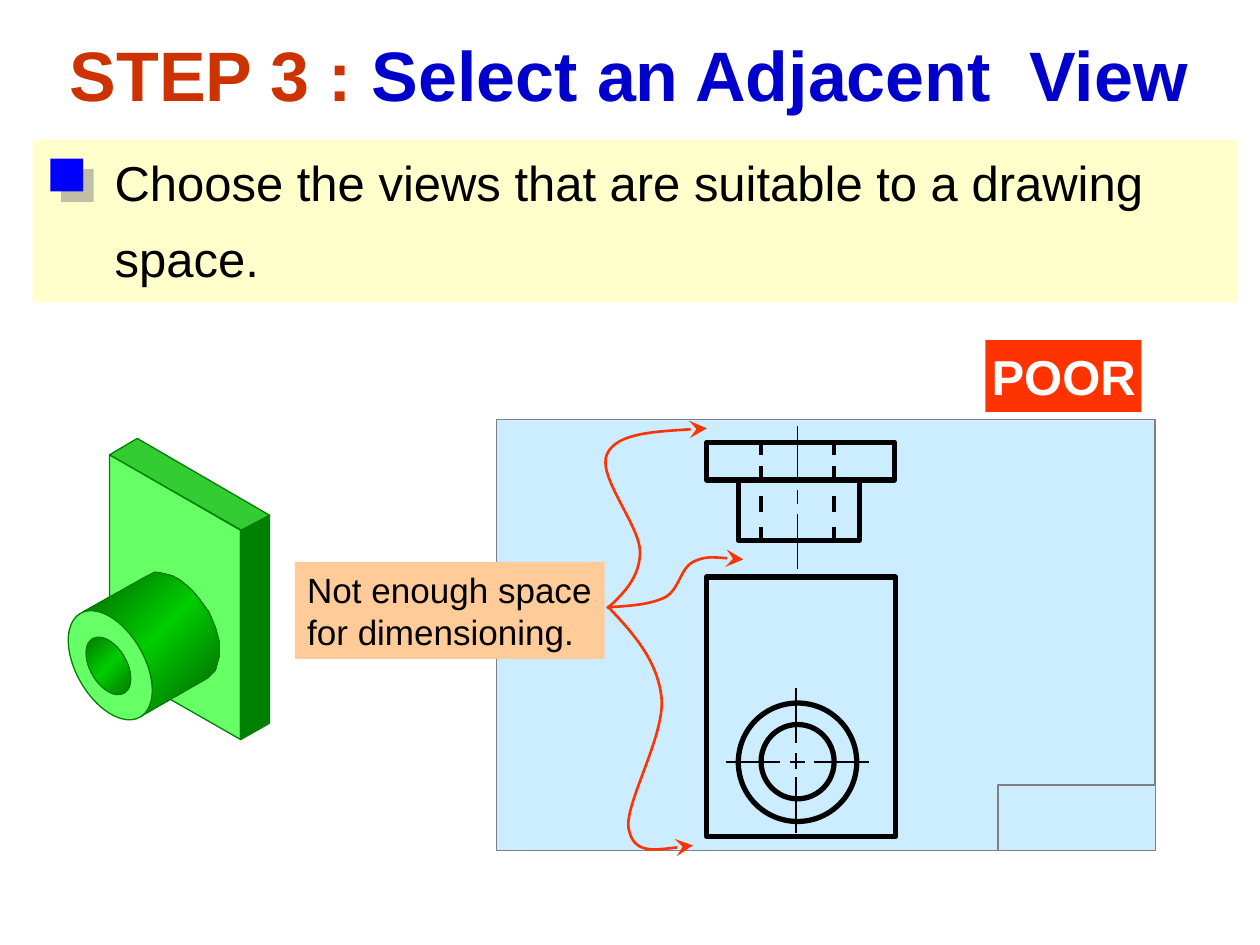
from lxml import etree
from pptx import Presentation
from pptx import util as u
from pptx.dml.color import RGBColor
from pptx.enum import dml, shapes, text
from pptx.oxml import ns

BLACK = RGBColor(0x00, 0x00, 0x00)
WHITE = RGBColor(0xFF, 0xFF, 0xFF)
GRAY = RGBColor(0x80, 0x80, 0x80)
SHEET = RGBColor(0xCC, 0xEC, 0xFF)
BAND = RGBColor(0xFF, 0xFF, 0xCC)
PEACH = RGBColor(0xFF, 0xCC, 0x99)
RED = RGBColor(0xFF, 0x33, 0x00)
RUST = RGBColor(0xCC, 0x33, 0x00)
NAVY = RGBColor(0x00, 0x00, 0xCC)
BLUE = RGBColor(0x00, 0x00, 0xFF)
LIGHT_GREEN = RGBColor(0x66, 0xFF, 0x66)
MID_GREEN = RGBColor(0x33, 0xCC, 0x33)
DARK_GREEN = RGBColor(0x00, 0x80, 0x00)
GRADIENT_STOPS = [(0, "005E00"), (50, "00CC00"), (100, "005E00")]
RECTANGLE, OVAL = shapes.MSO_SHAPE.RECTANGLE, shapes.MSO_SHAPE.OVAL

TITLE = [("STEP 3 : ", RUST), ("Select an Adjacent  View", NAVY)]
ADVICE = "Choose the views that are suitable to a drawing\vspace."
LABELS = [
    ("POOR", (7.82, 2.7, 1.24, 0.57), RED, WHITE, 28, True, 0.05),
    ("Not enough space\nfor dimensioning.", (2.34, 4.46, 2.46, 0.77), PEACH, BLACK, 20, False, 0.1),
]
VIEWS = [
    (RECTANGLE, (3.94, 3.33, 5.23, 3.42), SHEET, GRAY, 1),
    (RECTANGLE, (5.61, 4.58, 1.5, 2.06), None, BLACK, 3),
    (OVAL, (5.86, 5.58, 0.94, 0.94), None, BLACK, 3),
    (OVAL, (6.04, 5.75, 0.58, 0.59), None, BLACK, 3),
    (RECTANGLE, (5.61, 3.51, 1.49, 0.3), None, BLACK, 3),
    (RECTANGLE, (5.86, 3.81, 0.96, 0.48), None, BLACK, 3),
    (RECTANGLE, (7.92, 6.23, 1.25, 0.52), SHEET, GRAY, 1),
]
HIDDEN_DASHES = [(3.5, 3.61), (3.7, 3.86), (3.94, 4.1), (4.18, 4.29)]
VERTICAL_LINES = [
    (6.32, [(5.46, 5.9), (5.98, 6.1), (6.17, 6.61)], 1, None),
    (6.33, [(3.38, 3.82), (3.89, 4), (4.08, 4.52)], 1, None),
    (6.04, HIDDEN_DASHES, 2.25, dml.MSO_LINE.DASH),
    (6.62, HIDDEN_DASHES, 2.25, dml.MSO_LINE.DASH),
]
CROSS_Y, CROSS_SPANS = 6.05, [(5.76, 6.19), (6.27, 6.39), (6.46, 6.9)]
PLATE_FRONT = [
    (0.87, 3.61), (0.87, 4.75), (1.17, 4.58), (1.29, 4.56), (1.41, 4.6), (1.51, 4.7), (1.63, 4.87),
    (1.68, 4.98), (1.72, 5.13), (1.71, 5.23), (1.66, 5.37), (1.35, 5.55), (1.91, 5.87), (1.91, 4.21)]
CYLINDER_SIDE = [
    (0.6, 4.9), (0.65, 4.89), (0.75, 4.85), (0.83, 4.88), (0.96, 4.96), (1.06, 5.07), (1.13, 5.18),
    (1.18, 5.3), (1.21, 5.41), (1.2, 5.53), (1.18, 5.61), (1.11, 5.69), (1.65, 5.38), (1.71, 5.32),
    (1.74, 5.21), (1.74, 5.09), (1.71, 4.98), (1.66, 4.86), (1.58, 4.75), (1.52, 4.68),
    (1.44, 4.61), (1.37, 4.57), (1.29, 4.55), (1.23, 4.54), (1.17, 4.57), (0.67, 4.85)]
PLATE_TOP = [(0.87, 3.61), (1.09, 3.48), (2.14, 4.09), (1.92, 4.21)]
PLATE_EDGE = [(2.14, 4.09), (1.91, 4.21), (1.91, 5.87), (2.14, 5.74)]
CURVES = [
    [(4.82, 4.83), (4.95, 4.71), (5.08, 4.58), (5.08, 4.38), (5.08, 4.17),
     (4.73, 3.77), (4.82, 3.6), (4.9, 3.44), (5.26, 3.42), (5.61, 3.4)],
    [(4.82, 4.82), (4.99, 4.81), (5.16, 4.8), (5.28, 4.74), (5.39, 4.68),
     (5.4, 4.51), (5.5, 4.46), (5.6, 4.41), (5.75, 4.43), (5.9, 4.44)],
    [(4.82, 4.81), (5.02, 5.02), (5.22, 5.24), (5.25, 5.54), (5.28, 5.84),
     (4.95, 6.39), (4.99, 6.58), (5.03, 6.78), (5.27, 6.74), (5.5, 6.71)],
]

def child(parent, tag, **attributes):
    return etree.SubElement(parent, ns.qn(tag), attributes)

def style(shape, fill, line, width):
    shape.shadow.inherit = False
    for format_, color in ((shape.fill, fill), (shape.line.fill, line)):
        if color is None:
            format_.background()
        else:
            format_.solid()
            format_.fore_color.rgb = color
    shape.line.width = u.Pt(width)
    return shape

def add_shape(slide, kind, box, fill, line=None, width=1):
    return style(slide.shapes.add_shape(kind, *map(u.Inches, box)), fill, line, width)

def add_outline(slide, points, fill, line, width, close=True):
    start, *rest = [(u.Inches(x), u.Inches(y)) for x, y in points]
    builder = slide.shapes.build_freeform(*start)
    builder.add_line_segments(rest, close=close)
    return style(builder.convert_to_shape(), fill, line, width)

def add_line(slide, start, end, width, dash=None):
    line = slide.shapes.add_connector(
        shapes.MSO_CONNECTOR.STRAIGHT, *map(u.Inches, start + end))
    line.line.color.rgb = BLACK
    line.line.width = u.Pt(width)
    if dash:
        line.line.dash_style = dash
    child(line._element.spPr, "a:effectLst")

def add_curved_arrow(slide, points):
    arrow = add_outline(slide, points, None, RED, 1.5, close=False)
    outline = next(arrow._element.iter(ns.qn("a:path")))
    segments = outline.findall(ns.qn("a:lnTo"))
    for first in range(0, len(segments), 3):
        curve = child(outline, "a:cubicBezTo")
        for segment in segments[first:first + 3]:
            curve.append(segment[0])
            outline.remove(segment)
    line = arrow._element.spPr.find(ns.qn("a:ln"))
    child(line, "a:tailEnd", type="stealth", w="lg", len="lg")

def shade(shape, angle):
    properties = shape._element.spPr
    gradient = etree.Element(ns.qn("a:gradFill"), rotWithShape="1")
    stops = child(gradient, "a:gsLst")
    for position, color in GRADIENT_STOPS:
        child(child(stops, "a:gs", pos=str(position * 1000)), "a:srgbClr", val=color)
    child(gradient, "a:lin", ang=str(angle * 60000), scaled="0")
    properties.replace(properties.find(ns.qn("a:solidFill")), gradient)

def place(shape, box):
    shape.left, shape.top, shape.width, shape.height = map(u.Inches, box)

def set_frame(shape, inset, wrap):
    frame = shape.text_frame
    frame.auto_size = text.MSO_AUTO_SIZE.NONE
    frame.word_wrap = wrap
    frame.vertical_anchor = text.MSO_ANCHOR.TOP
    frame.margin_left = frame.margin_right = u.Inches(inset)
    frame.margin_top = frame.margin_bottom = u.Inches(0.05)
    return frame

def set_font(font, size, bold=False):
    font.name, font.size, font.bold = "Arial", u.Pt(size), bold

def add_title(slide):
    title = slide.shapes.title
    place(title, (-0.01, 0.2, 10, 0.77))
    paragraph = set_frame(title, 0.1, True).paragraphs[0]
    paragraph.alignment = text.PP_ALIGN.CENTER
    set_font(paragraph.font, 40, True)
    for words, color in TITLE:
        run = paragraph.add_run()
        run.text, run.font.color.rgb = words, color

def add_advice(slide):
    band = add_shape(slide, RECTANGLE, (0.26, 1.11, 9.56, 1.29), BAND)
    body = slide.placeholders[1]
    body._element.addprevious(band._element)
    place(body, (0.81, 1.02, 9, 1.32))
    paragraph = set_frame(body, 0.1, True).paragraphs[0]
    paragraph.text = ADVICE
    properties = paragraph._p.get_or_add_pPr()
    properties.set("marL", "0")
    properties.set("indent", "0")
    child(properties, "a:buNone")
    paragraph.line_spacing, paragraph.space_before = 1.3, u.Pt(0)
    set_font(paragraph.font, 28)
    paragraph.font.color.rgb = BLACK
    marker = add_shape(slide, RECTANGLE, (0.4, 1.26, 0.26, 0.26), BLUE)
    effects = marker._element.spPr.find(ns.qn("a:effectLst"))
    shadow = child(effects, "a:outerShdw", dist=str(u.Pt(8.5)), dir="2700000")
    child(child(shadow, "a:srgbClr", val=str(GRAY)), "a:alpha", val="50000")

def add_views(slide):
    for view in VIEWS:
        add_shape(slide, *view)
    for x, spans, width, dash in VERTICAL_LINES:
        for top, bottom in spans:
            add_line(slide, (x, top), (x, bottom), width, dash)
    for left, right in CROSS_SPANS:
        add_line(slide, (left, CROSS_Y), (right, CROSS_Y), 1)

def add_part(slide):
    edge = (DARK_GREEN, 0.75)
    add_outline(slide, PLATE_FRONT, LIGHT_GREEN, *edge)
    shade(add_outline(slide, CYLINDER_SIDE, MID_GREEN, *edge), 225)
    rim = add_shape(slide, OVAL, (0.4, 5.01, 0.95, 0.54), LIGHT_GREEN, *edge)
    hole = add_shape(slide, OVAL, (0.61, 5.14, 0.5, 0.29), MID_GREEN, *edge)
    rim.rotation = hole.rotation = 60
    shade(hole, 165)
    add_outline(slide, PLATE_TOP, MID_GREEN, *edge)
    add_outline(slide, PLATE_EDGE, DARK_GREEN, *edge)

def add_label(slide, words, box, fill, color, size, bold, inset):
    frame = set_frame(add_shape(slide, RECTANGLE, box, fill), inset, False)
    frame.text = words
    for paragraph in frame.paragraphs:
        paragraph.alignment = text.PP_ALIGN.LEFT
        set_font(paragraph.font, size, bold)
        paragraph.font.color.rgb = color

presentation = Presentation()
presentation.slide_width, presentation.slide_height = u.Inches(10), u.Inches(7.5)
slide = presentation.slides.add_slide(presentation.slide_layouts[1])
add_title(slide)
add_views(slide)
add_advice(slide)
add_part(slide)
for label in LABELS:
    add_label(slide, *label)
for points in CURVES:
    add_curved_arrow(slide, points)
presentation.save("out.pptx")
